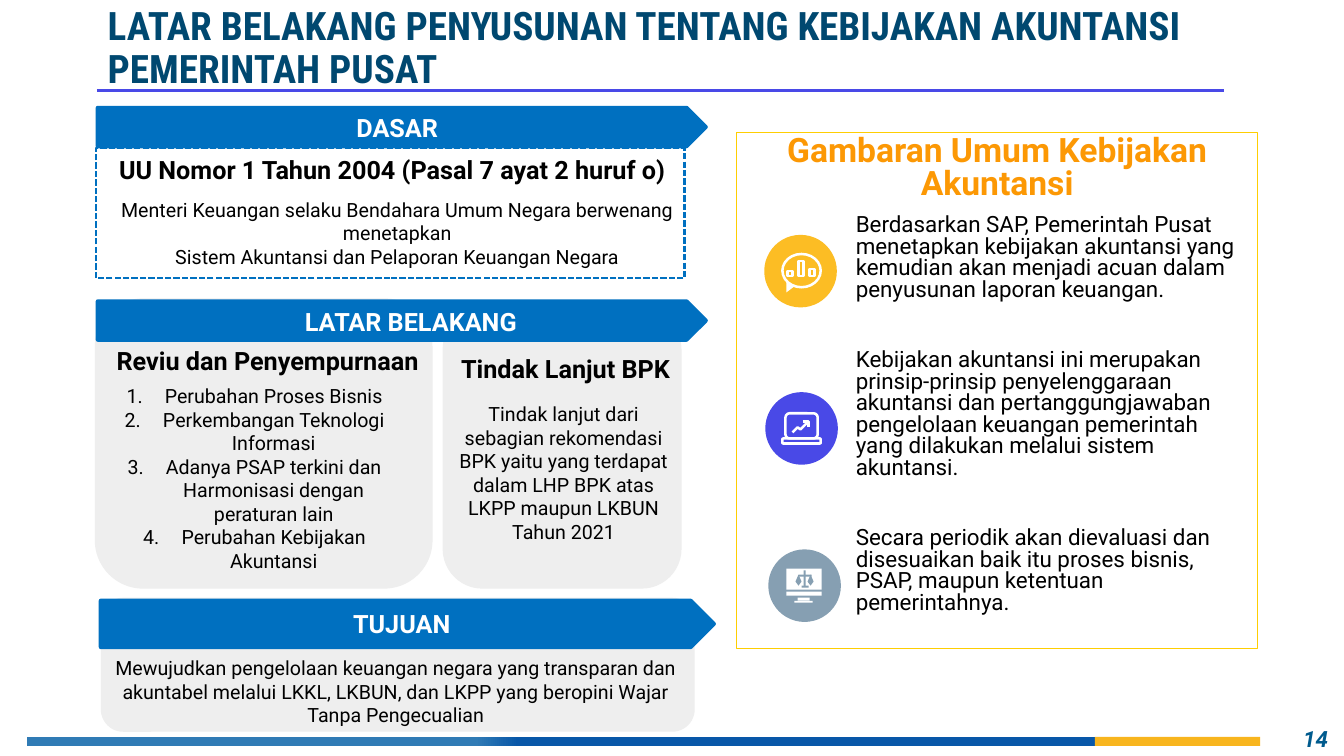
from pptx import Presentation
from pptx.dml.color import RGBColor
from pptx.enum.dml import MSO_LINE
from pptx.enum.shapes import MSO_CONNECTOR, MSO_SHAPE
from pptx.enum.text import MSO_ANCHOR, PP_ALIGN
from pptx.oxml.ns import qn
from pptx.util import Inches, Pt
from lxml import etree

RECTANGLE, ROUNDED = MSO_SHAPE.RECTANGLE, MSO_SHAPE.ROUNDED_RECTANGLE
OVAL, ARROW = MSO_SHAPE.OVAL, MSO_SHAPE.PENTAGON
STRAIGHT, DASHED = MSO_CONNECTOR.STRAIGHT, MSO_LINE.SQUARE_DOT
LEFT, CENTER, RIGHT = PP_ALIGN.LEFT, PP_ALIGN.CENTER, PP_ALIGN.RIGHT
TOP, MIDDLE = MSO_ANCHOR.TOP, MSO_ANCHOR.MIDDLE

# The grid has one-inch cells: 13.33 columns by 7.5 rows
COLUMNS, ROWS = 13.33, 7.5
WHITE, BLACK, GREY = "FFFFFF", "000000", "EEEEEE"
BLUE, INDIGO, STEEL = "0070C0", "4949E7", "869FB2"
ICON_STROKE = 1.8


def color(value):
    return RGBColor.from_string(value)


def cells(*values):
    return [Inches(value) for value in values]


def style_shape(shape, fill=None, line=None, width=1.0):
    shape.shadow.inherit = False
    if fill:
        shape.fill.solid()
        shape.fill.fore_color.rgb = color(fill)
    else:
        shape.fill.background()
    if line:
        shape.line.color.rgb = color(line)
        shape.line.width = Pt(width)
    else:
        shape.line.fill.background()
    return shape


def add_box(slide, kind, box, fill=None, line=None, width=1.0):
    shape = slide.shapes.add_shape(kind, *cells(*box))
    return style_shape(shape, fill, line, width)


def add_path(slide, points, fill=None, line=None, width=1.0):
    """Draw a closed filled outline, or an open stroke when there is no fill."""
    corners = [cells(*point) for point in points]
    builder = slide.shapes.build_freeform(*corners[0])
    builder.add_line_segments(corners[1:], close=bool(fill))
    return style_shape(builder.convert_to_shape(), fill, line, width)


def format_paragraph(paragraph, size, ink=BLACK, bold=False, align=CENTER,
                     font="Roboto", italic=False, spacing=None, before=0):
    paragraph.alignment = align
    paragraph.space_before = Pt(before)
    if spacing:
        paragraph.line_spacing = spacing
    for run in paragraph.runs:
        run.font.size, run.font.name = Pt(size), font
        run.font.bold, run.font.italic = bold, italic
        run.font.color.rgb = color(ink)


def add_text(slide, box, lines, size, anchor=TOP, inset=0.1, **style):
    text_box = slide.shapes.add_textbox(*cells(*box))
    frame = text_box.text_frame
    frame.word_wrap = True
    frame.vertical_anchor = anchor
    frame.margin_top = frame.margin_bottom = Inches(inset)
    frame.text = "\n".join(lines)
    for paragraph in frame.paragraphs:
        format_paragraph(paragraph, size, **style)
    return text_box


def add_heading(slide, box, text, ink=BLACK):
    add_text(slide, box, [text], 18, anchor=MIDDLE, ink=ink, bold=True)


def add_banner(slide, box, text, label_box):
    add_box(slide, ARROW, box, BLUE, BLUE, 3)
    add_heading(slide, label_box, text, WHITE)


def indent(paragraph, margin, first=0.0, numbered=False):
    properties = paragraph._p.get_or_add_pPr()
    properties.set("marL", str(Inches(margin)))
    properties.set("indent", str(Inches(first)))
    if numbered:
        etree.SubElement(properties, qn("a:buAutoNum"), type="arabicPeriod")


def add_frame(slide):
    stripe = add_box(slide, RECTANGLE, (0.27, 7.31, 10.59, 0.09))
    stripe.fill.gradient()
    stripe.fill.gradient_angle = 0
    stops = zip(stripe.fill.gradient_stops, (0.42, 0.46), ("307BB5", "0857A8"))
    for stop, position, shade in stops:
        stop.position = position
        stop.color.rgb = color(shade)
    add_box(slide, RECTANGLE, (10.86, 7.31, 1.64, 0.09), "F8B51E")

    rule = slide.shapes.add_connector(STRAIGHT, *cells(0.96, 0.9, 12.14, 0.9))
    rule.line.color.rgb = color(INDIGO)
    rule.line.width = Pt(2.25)
    etree.SubElement(rule._element.spPr, qn("a:effectLst"))

    add_text(slide, (0.97, 0.02, 11.5, 1.05),
             ["LATAR BELAKANG PENYUSUNAN TENTANG KEBIJAKAN AKUNTANSI PEMERINTAH PUSAT"],
             28, inset=0.05, ink="004870", bold=True, align=LEFT,
             font="Roboto Condensed", spacing=0.9)
    add_text(slide, (12.7, 7.2, 0.57, 0.25), ["14"], 16, anchor=MIDDLE,
             inset=0.05, ink="005B8E", bold=True, italic=True, align=RIGHT)


def add_basis(slide):
    add_heading(slide, (0.97, 1.5, 5.84, 0.36),
                "UU Nomor 1 Tahun 2004 (Pasal 7 ayat 2 huruf o)")
    add_text(slide, (1.02, 1.86, 5.84, 0.81),
             ["Menteri Keuangan selaku Bendahara Umum Negara berwenang menetapkan",
              "Sistem Akuntansi dan Pelaporan Keuangan Negara"], 14)
    add_banner(slide, (0.97, 1.07, 6.03, 0.38), "DASAR", (1.34, 1.07, 5.2, 0.38))
    border = add_box(slide, RECTANGLE, (0.95, 1.47, 5.84, 1.29), line=BLUE, width=1.5)
    border.line.dash_style = DASHED


def add_background(slide):
    for card in ((4.39, 3.07, 2.37, 2.77), (0.94, 2.96, 3.35, 2.88)):
        add_box(slide, ROUNDED, card, GREY)
    add_heading(slide, (0.97, 3.34, 3.37, 0.47), "Reviu dan Penyempurnaan")
    reasons = add_text(slide, (0.97, 3.71, 3.11, 1.27),
                       ["Perubahan Proses Bisnis",
                        "Perkembangan Teknologi Informasi",
                        "Adanya PSAP terkini dan Harmonisasi dengan peraturan lain",
                        "Perubahan Kebijakan Akuntansi"], 14)
    for paragraph in reasons.text_frame.paragraphs:
        indent(paragraph, 0.38, -0.38, numbered=True)
    add_heading(slide, (4.35, 3.41, 2.52, 0.49), "Tindak Lanjut BPK")
    add_text(slide, (4.43, 3.89, 2.32, 1.34),
             ["Tindak lanjut dari sebagian rekomendasi BPK yaitu yang terdapat "
              "dalam LHP BPK atas LKPP maupun LKBUN Tahun 2021"], 14)
    add_banner(slide, (0.97, 2.99, 6.03, 0.38), "LATAR BELAKANG",
               (2.82, 3.07, 2.51, 0.24))


def add_goal(slide):
    add_box(slide, ROUNDED, (1, 5.93, 5.89, 1.33), GREY)
    add_text(slide, (0.97, 6.41, 5.91, 0.67),
             ["Mewujudkan pengelolaan keuangan negara yang transparan dan akuntabel "
              "melalui LKKL, LKBUN, dan LKPP yang beropini Wajar Tanpa Pengecualian"], 14)
    add_banner(slide, (1, 5.96, 6.08, 0.46), "TUJUAN", (1.36, 5.96, 5.25, 0.45))


def add_overview(slide):
    panel = add_box(slide, RECTANGLE, (7.31, 1.31, 5.16, 5.12), line="FECE02", width=0.75)
    frame = panel.text_frame
    frame.word_wrap = True
    frame.vertical_anchor = TOP
    frame.text = "\n".join((
        "Gambaran Umum Kebijakan Akuntansi",
        "Berdasarkan SAP, Pemerintah Pusat menetapkan kebijakan akuntansi yang "
        "kemudian akan menjadi acuan dalam penyusunan laporan keuangan.",
        "Kebijakan akuntansi ini merupakan prinsip-prinsip penyelenggaraan akuntansi "
        "dan pertanggungjawaban pengelolaan keuangan pemerintah yang dilakukan "
        "melalui sistem akuntansi.",
        "Secara periodik akan dievaluasi dan disesuaikan baik itu proses bisnis, "
        "PSAP, maupun ketentuan pemerintahnya."))
    title, *points = frame.paragraphs
    format_paragraph(title, 24, ink="FC9804", bold=True, spacing=0.8, before=10)
    for point, before in zip(points, (10, 35, 35)):
        format_paragraph(point, 16, align=LEFT, spacing=0.8, before=before)
        indent(point, 1.08)


def add_icons(slide):
    for left, top, fill in ((7.58, 2.33, "FCBD24"), (7.59, 3.89, INDIGO),
                            (7.62, 5.45, STEEL)):
        add_box(slide, OVAL, (left, top, 0.72, 0.72), fill)

    # Speech bubble with bars, and laptop body
    for kind, box in ((OVAL, (7.76, 2.52, 0.38, 0.33)),
                      (RECTANGLE, (7.81, 2.69, 0.05, 0.05)),
                      (RECTANGLE, (7.92, 2.59, 0.05, 0.15)),
                      (RECTANGLE, (8.03, 2.67, 0.05, 0.07)),
                      (ROUNDED, (7.79, 4.1, 0.32, 0.25)),
                      (ROUNDED, (7.76, 4.35, 0.38, 0.05))):
        add_box(slide, kind, box, line=WHITE, width=ICON_STROKE)
    add_path(slide, ((7.8, 2.78), (7.8, 2.9), (7.88, 2.84)), WHITE)

    # Rising line on the laptop
    for points in (((7.86, 4.29), (7.91, 4.24), (7.94, 4.26), (8.01, 4.19)),
                   ((7.96, 4.18), (8.02, 4.18), (8.02, 4.24))):
        add_path(slide, points, line=WHITE, width=ICON_STROKE)

    # Monitor with a pair of scales
    for box in ((7.8, 5.64, 0.35, 0.21), (7.8, 5.87, 0.35, 0.04),
                (7.91, 5.93, 0.12, 0.03), (7.88, 5.96, 0.18, 0.02)):
        add_box(slide, RECTANGLE, box, WHITE)
    for box in ((7.97, 5.66, 0.02, 0.16), (7.92, 5.7, 0.13, 0.02),
                (7.95, 5.81, 0.07, 0.02)):
        add_box(slide, RECTANGLE, box, STEEL)
    for center in (7.92, 8.04):
        add_path(slide, ((center, 5.7), (center + 0.03, 5.77), (center, 5.81),
                         (center - 0.03, 5.77)), STEEL)


def main():
    presentation = Presentation()
    presentation.slide_width, presentation.slide_height = cells(COLUMNS, ROWS)
    slide = presentation.slides.add_slide(presentation.slide_layouts[6])
    for add_part in (add_frame, add_background, add_basis, add_goal,
                     add_overview, add_icons):
        add_part(slide)
    presentation.save("out.pptx")


if __name__ == "__main__":
    main()
